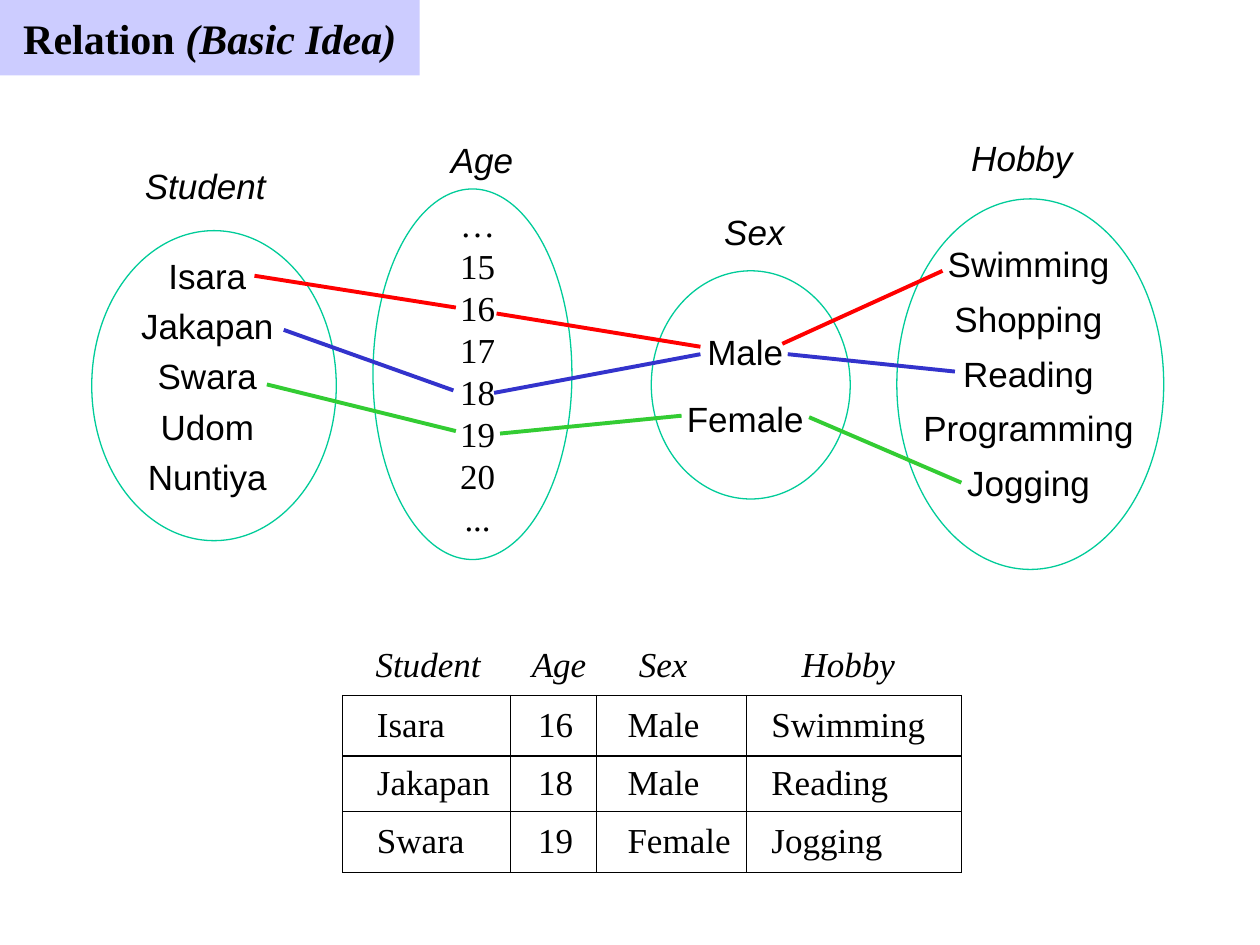
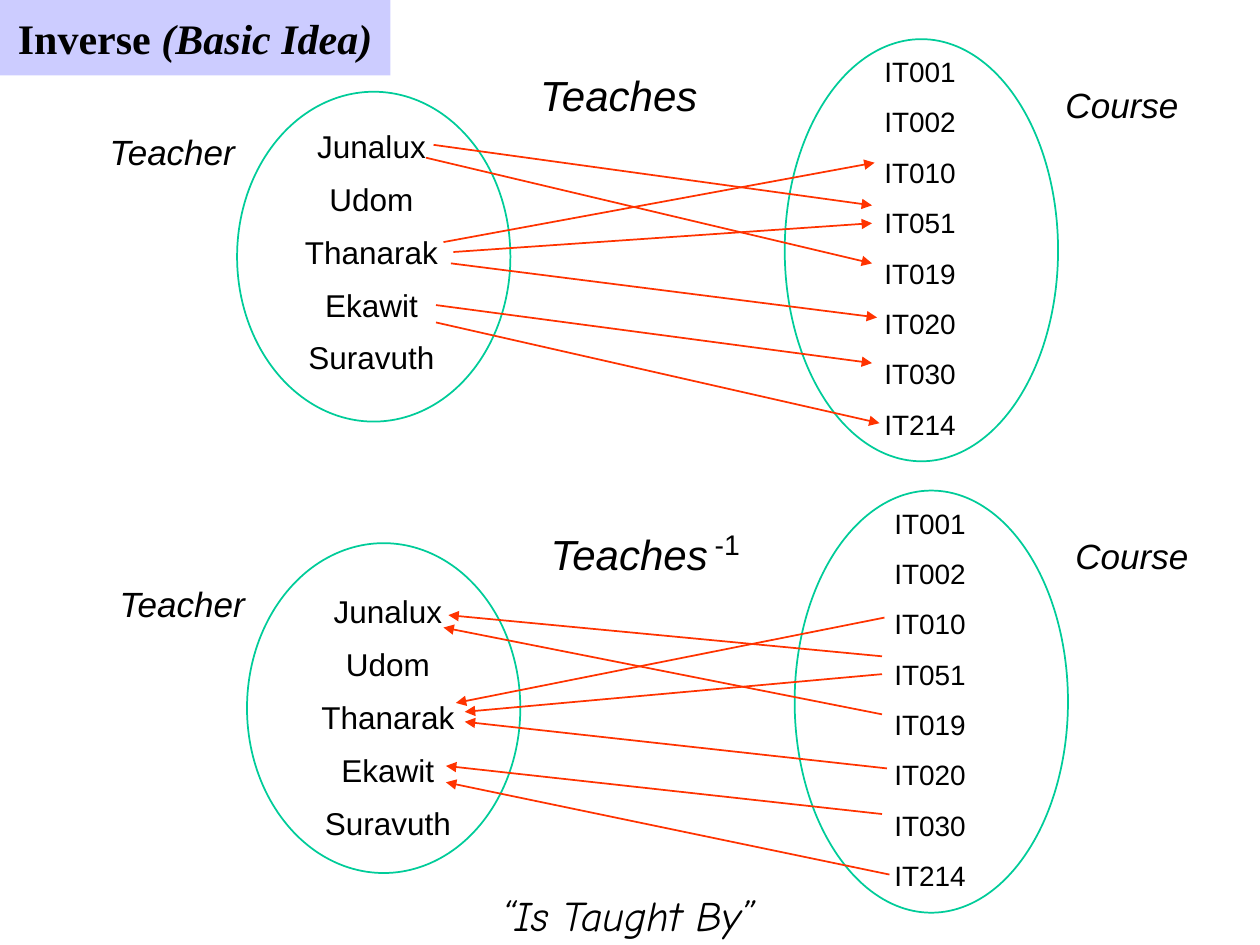
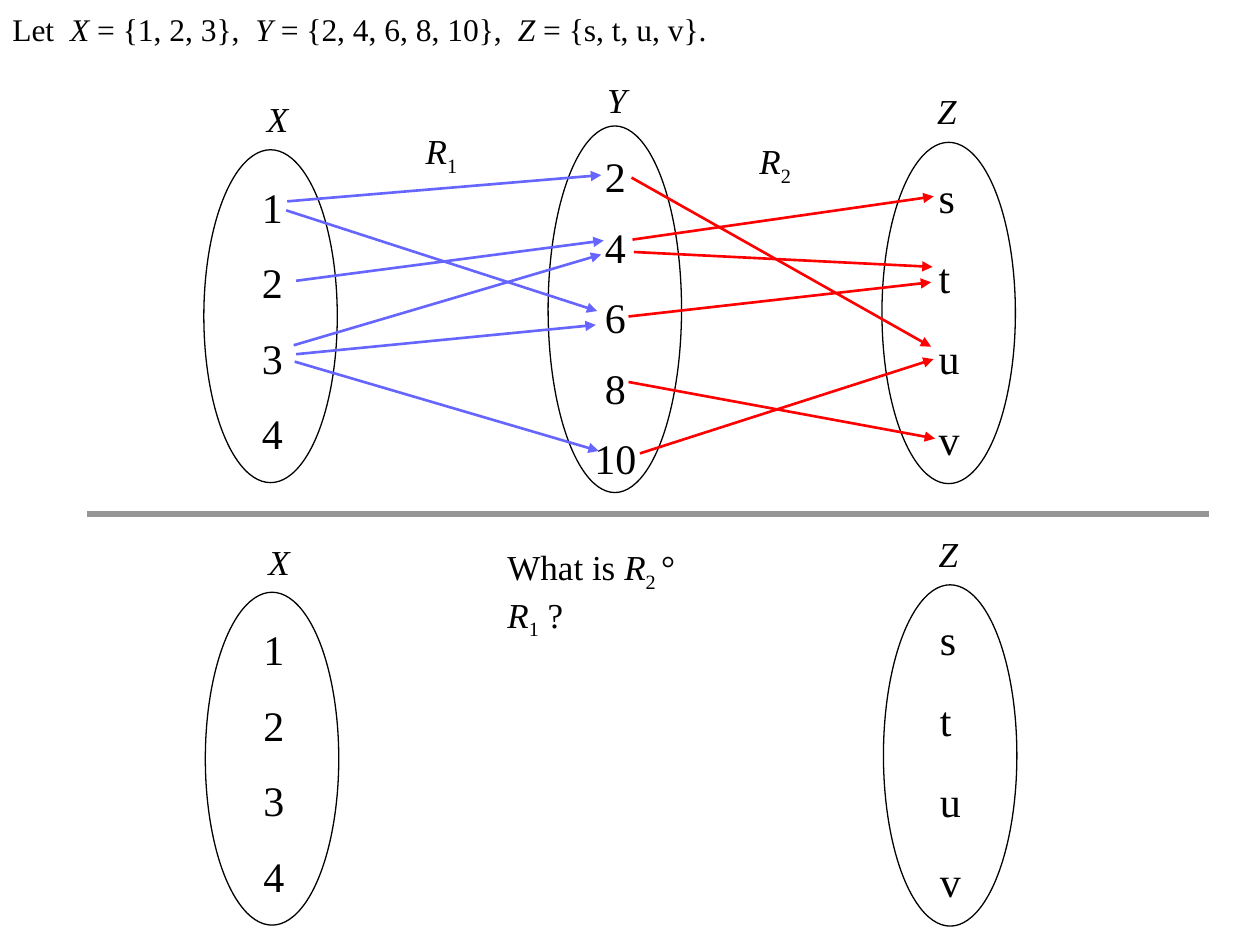
import pptx
import pptx.util
import pptx.dml.color
import pptx.enum.shapes
import pptx.enum.text
import pptx.oxml.ns
from lxml import etree

Cm = pptx.util.Cm
Pt = pptx.util.Pt
RGBColor = pptx.dml.color.RGBColor
Align = pptx.enum.text.PP_ALIGN
Shape = pptx.enum.shapes.MSO_SHAPE
qn = pptx.oxml.ns.qn

BLACK = RGBColor(0x00, 0x00, 0x00)
LAVENDER = RGBColor(0xCC, 0xCC, 0xFF)
TEAL = RGBColor(0x00, 0xCC, 0x99)
RED = RGBColor(0xFF, 0x00, 0x00)
BLUE = RGBColor(0x33, 0x33, 0xCC)
GREEN = RGBColor(0x33, 0xCC, 0x33)
ORANGE = RGBColor(0xFF, 0x33, 0x00)
PERIWINKLE = RGBColor(0x66, 0x66, 0xFF)
GREY = RGBColor(0x96, 0x96, 0x96)

SANS = "Arial"
SERIF = "Times New Roman"
HAND = "Comic Neue"
PLAIN_TABLE = "{2D5ABB26-0587-4C30-8999-92F81FD0307C}"

ITALIC = {"italic": True}
SUBSCRIPT = {"baseline": -25}


class Deck:
    def __init__(self):
        self.presentation = pptx.Presentation()
        self.presentation.slide_width = Cm(25.4)
        self.presentation.slide_height = Cm(19.05)
        self.slide = None

    def new_slide(self):
        layout = self.presentation.slide_layouts[6]
        self.slide = self.presentation.slides.add_slide(layout)

    def style(self, paragraph, font, size, italic=None, bold=None):
        paragraph.font.name = font
        paragraph.font.size = Pt(size)
        paragraph.font.color.rgb = BLACK
        paragraph.font.italic = italic
        paragraph.font.bold = bold

    def runs(self, paragraph, parts):
        for text, look in parts:
            run = paragraph.add_run()
            run.text = text
            if "italic" in look:
                run.font.italic = look["italic"]
            if "size" in look:
                run.font.size = Pt(look["size"])
            if "baseline" in look:
                properties = run._r.get_or_add_rPr()
                properties.set("baseline", str(look["baseline"] * 1000))

    def text(self, box, lines, font=SANS, size=20, italic=None,
             align=Align.LEFT, spacing=None):
        shape = self.slide.shapes.add_textbox(*map(Cm, box))
        frame = shape.text_frame
        frame.word_wrap = False
        frame.auto_size = pptx.enum.text.MSO_AUTO_SIZE.SHAPE_TO_FIT_TEXT
        for index, line in enumerate(lines):
            paragraph = frame.add_paragraph() if index else frame.paragraphs[0]
            self.runs(paragraph, [(line, {})] if isinstance(line, str) else line)
            self.style(paragraph, font, size, italic)
            paragraph.alignment = align
            paragraph.line_spacing = spacing

    def label(self, left, top, width, text, font=SANS):
        self.text((left, top, width, 1.09), [text], font, italic=True)

    def title(self, width, topic):
        band = self.slide.shapes.add_shape(
            Shape.RECTANGLE, 0, 0, Cm(width), Cm(1.52))
        band.shadow.inherit = False
        band.fill.solid()
        band.fill.fore_color.rgb = LAVENDER
        band.line.fill.background()
        band.text_frame.word_wrap = False
        paragraph = band.text_frame.paragraphs[0]
        self.runs(paragraph, [(topic + " ", {}), ("(Basic Idea)", ITALIC)])
        self.style(paragraph, SERIF, 24, bold=True)
        paragraph.alignment = Align.CENTER

    def ellipse(self, box, color=TEAL, weight=0.75):
        shape = self.slide.shapes.add_shape(Shape.OVAL, *map(Cm, box))
        shape.shadow.inherit = False
        shape.fill.background()
        shape.line.color.rgb = color
        shape.line.width = Pt(weight)

    def lines(self, ends, color, weight, arrow=None):
        for end in ends:
            connector = self.slide.shapes.add_connector(
                pptx.enum.shapes.MSO_CONNECTOR.STRAIGHT, *map(Cm, end))
            connector.line.color.rgb = color
            connector.line.width = Pt(weight)
            if arrow:
                line = connector.line._get_or_add_ln()
                etree.SubElement(line, qn(arrow), type="triangle")
            etree.SubElement(connector._element.spPr, qn("a:effectLst"))

    def border(self, cell):
        properties = cell._tc.get_or_add_tcPr()
        for index, side in enumerate(("a:lnL", "a:lnR", "a:lnT", "a:lnB")):
            line = etree.Element(qn(side), w=str(Pt(0.75)))
            fill = etree.SubElement(line, qn("a:solidFill"))
            etree.SubElement(fill, qn("a:srgbClr"), val=str(BLACK))
            properties.insert(index, line)

    def table(self, left, top, widths, heights, rows, head_indents, indents):
        table = self.slide.shapes.add_table(
            len(rows), len(widths), Cm(left), Cm(top),
            Cm(sum(widths)), Cm(sum(heights))).table
        table.first_row = table.horz_banding = False
        table._tbl.tblPr.find(qn("a:tableStyleId")).text = PLAIN_TABLE
        for column, width in zip(table.columns, widths):
            column.width = Cm(width)
        for row, height in zip(table.rows, heights):
            row.height = Cm(height)
        for r, values in enumerate(rows):
            for c, value in enumerate(values):
                cell = table.cell(r, c)
                cell.text = value
                cell.fill.background()
                cell.margin_left = Cm((indents if r else head_indents)[c])
                cell.margin_right = cell.margin_top = cell.margin_bottom = 0
                cell.vertical_anchor = pptx.enum.text.MSO_ANCHOR.MIDDLE
                self.style(cell.text_frame.paragraphs[0], SERIF, 20,
                           italic=r == 0)
                if r:
                    self.border(cell)


def relation_slide(deck):
    deck.new_slide()
    deck.title(8.46, "Relation")
    deck.label(2.67, 3.2, 2.95, "Student")
    deck.label(8.84, 2.67, 1.78, "Age")
    deck.label(14.35, 4.11, 1.73, "Sex")
    deck.label(19.33, 2.62, 2.57, "Hobby")
    domains = [
        ((2.59, 4.83, 3.18, 5.33), SANS, 1.2,
         ["Isara", "Jakapan", "Swara", "Udom", "Nuntiya"]),
        ((9.02, 3.96, 1.22, 7.04), SERIF, None,
         ["…", "15", "16", "17", "18", "19", "20", "..."]),
        ((13.59, 6.02, 2.87, 2.97), SANS, 1.6, ["Male", "Female"]),
        ((18.36, 4.52, 4.75, 5.77), SANS, 1.3,
         ["Swimming", "Shopping", "Reading", "Programming", "Jogging"]),
    ]
    for box, font, spacing, members in domains:
        deck.text(box, members, font, align=Align.CENTER, spacing=spacing)
    for box in [(1.85, 4.65, 4.93, 6.25), (7.52, 3.81, 4.01, 7.47),
                (13.13, 5.46, 4.01, 4.6), (18.08, 4.01, 5.38, 7.47)]:
        deck.ellipse(box)
    deck.table(
        6.91, 12.83, [3.38, 1.73, 3.02, 4.34], [1.19, 1.22, 1.12, 1.22],
        [["Student", "Age", "Sex", "Hobby"],
         ["Isara", "16", "Male", "Swimming"],
         ["Jakapan", "18", "Male", "Reading"],
         ["Swara", "19", "Female", "Jogging"]],
        [0.66, 0.43, 0.86, 1.12], [0.69, 0.56, 0.63, 0.51])
    deck.lines([(5.13, 5.56, 9.19, 6.2), (10.01, 6.32, 14.12, 6.99),
                (15.77, 6.93, 19, 5.46)], RED, 2.25)
    deck.lines([(5.72, 6.65, 9.14, 7.87), (9.96, 7.92, 14.12, 7.14),
                (15.88, 7.14, 19.25, 7.49)], BLUE, 2.25)
    deck.lines([(5.38, 7.75, 9.19, 8.69), (10.08, 8.74, 13.74, 8.38),
                (16.31, 8.41, 19.38, 9.73)], GREEN, 2.25)


def teaching_sets(deck, dx, dy, names_left, names_top):
    deck.ellipse((4.78 + dx, 1.85 + dy, 5.51, 6.65), weight=1)
    deck.ellipse((15.82 + dx, 0.79 + dy, 5.51, 8.51), weight=1)
    deck.label(1.96 + dx, 2.51 + dy, 3.1, "Teacher")
    deck.label(21.23 + dx, 1.55 + dy, 2.79, "Course")
    deck.text((names_left, names_top, 3.2, 5.59),
              ["Junalux", "Udom", "Thanarak", "Ekawit", "Suravuth"],
              size=18, align=Align.CENTER, spacing=1.4)
    deck.text((17.58 + dx, 0.64 + dy, 1.96, 8.41),
              ["IT001", "IT002", "IT010", "IT051",
               "IT019", "IT020", "IT030", "IT214"], size=16, spacing=1.5)


def inverse_slide(deck):
    deck.new_slide()
    deck.title(7.87, "Inverse")
    teaching_sets(deck, 0, 0, 5.89, 2.13)
    deck.text((10.64, 1.27, 3.76, 1.27), ["Teaches"], size=24, italic=True)
    deck.lines([(8.94, 4.88, 17.63, 3.28), (9.09, 5.31, 17.68, 6.4),
                (8.59, 3.18, 17.58, 5.31), (9.14, 5.08, 17.58, 4.5),
                (8.74, 2.92, 17.58, 4.14), (8.79, 6.15, 17.58, 7.32),
                (8.79, 6.5, 17.73, 8.53)], ORANGE, 1, "a:tailEnd")
    teaching_sets(deck, 0.2, 9.1, 6.22, 11.51)
    deck.text((10.85, 10.39, 4.5, 1.45),
              [[("Teaches", ITALIC), (" ", {"size": 14}),
                ("-1", {"size": 28, "baseline": 30})]], size=24)
    deck.lines([(9.19, 14.17, 17.83, 12.45), (9.37, 14.55, 17.88, 15.49),
                (8.94, 12.65, 17.78, 14.4), (9.37, 14.35, 17.78, 13.59),
                (9.04, 12.4, 17.78, 13.23), (8.99, 15.44, 17.78, 16.41),
                (8.99, 15.77, 17.93, 17.63)], ORANGE, 1, "a:headEnd")
    deck.text((9.86, 17.81, 5.6, 1.27), ["“Is Taught By”"],
              HAND, 24, italic=True)


def outer_sets(deck, dx, dy):
    deck.text((5.03 + dx, 3.02 + dy, 0.94, 6.35), list("1234"),
              SERIF, 24, spacing=1.5)
    deck.text((18.67 + dx, 2.72 + dy, 0.94, 6.76), list("stuv"),
              SERIF, 24, spacing=1.6)
    deck.ellipse((4.11 + dx, 3.02 + dy, 2.69, 6.71), BLACK)
    deck.ellipse((17.78 + dx, 2.87 + dy, 2.69, 6.88), BLACK)
    deck.label(5.13 + dx, 1.85 + dy, 0.93, "X", SERIF)
    deck.label(18.64 + dx, 1.68 + dy, 0.93, "Z", SERIF)


def composition_slide(deck):
    deck.new_slide()
    deck.text((0, 0.08, 14.5, 1.02),
              [[("Let  ", {}), ("X", ITALIC), (" = {1, 2, 3},  ", {}),
                ("Y", ITALIC), (" = {2, 4, 6, 8, 10},  ", {}),
                ("Z", ITALIC), (" = {s, t, u, v}.", {})]], SERIF, 18)
    outer_sets(deck, 0, 0)
    deck.text((11.73, 2.51, 1.35, 7.37), ["2", "4", "6", "8", "10"],
              SERIF, 24, align=Align.CENTER, spacing=1.4)
    deck.ellipse((11.05, 2.54, 2.69, 7.39), BLACK)
    deck.label(11.99, 1.45, 0.93, "Y", SERIF)
    for left, top, number in [(8.33, 2.49, "1"), (15.06, 2.69, "2")]:
        deck.text((left, top, 1.17, 1.09),
                  [[("R", ITALIC), (number, SUBSCRIPT)]], SERIF)
    deck.lines([(5.79, 4.06, 12.12, 3.53), (5.77, 4.24, 12.04, 6.27),
                (5.97, 5.66, 12.17, 4.85), (5.92, 6.96, 12.12, 5.13),
                (5.97, 7.14, 12.01, 6.55), (5.94, 7.29, 12.07, 9.09)],
               PERIWINKLE, 1.5, "a:tailEnd")
    deck.lines([(12.73, 3.58, 18.77, 6.99), (12.75, 4.83, 18.82, 3.96),
                (12.78, 5.08, 18.8, 5.38), (12.67, 6.38, 18.77, 5.69),
                (12.67, 7.7, 18.85, 8.84), (12.9, 9.14, 18.82, 7.24)],
               RED, 1.5, "a:tailEnd")
    deck.lines([(1.75, 10.36, 24.38, 10.36)], GREY, 3)
    deck.text((9.98, 10.87, 5.18, 1.09),
              [[("What is ", {}), ("R", ITALIC), ("2 ", SUBSCRIPT),
                ("° ", {}), ("R", ITALIC), ("1", SUBSCRIPT), (" ?", {})]],
              SERIF)
    outer_sets(deck, 0.03, 8.92)


deck = Deck()
relation_slide(deck)
inverse_slide(deck)
composition_slide(deck)
deck.presentation.save("out.pptx")
